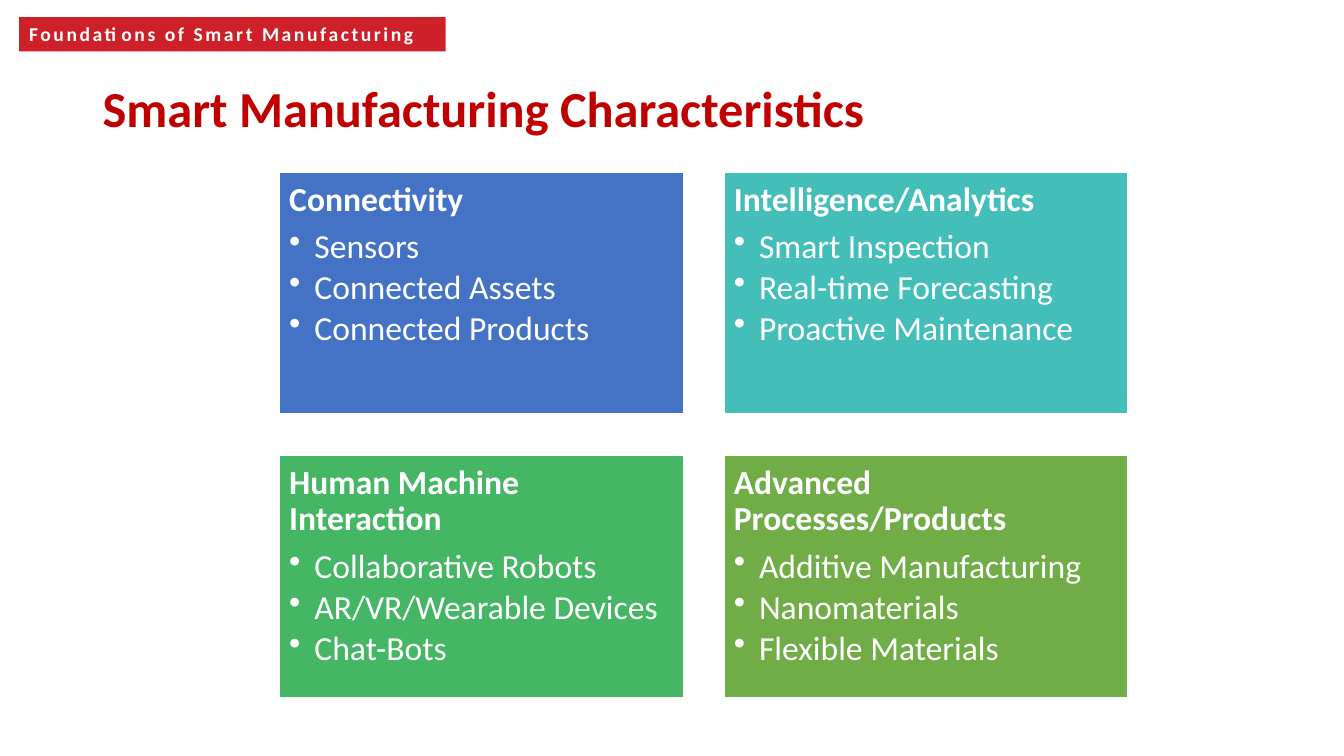
from pptx import Presentation
from pptx.dml.color import RGBColor as RGB
from pptx.enum.shapes import MSO_SHAPE as Shape
from pptx.enum.text import MSO_ANCHOR as Anchor, PP_ALIGN as Align
from pptx.oxml.ns import qn
from pptx.util import Inches, Pt
from lxml.etree import SubElement

COLORS = {
    "tag": "CE2029", "title": "C00000", "white": "FFFFFF",
    "blue": "4472C4", "teal": "43BEB9", "green": "45B664", "olive": "70AD47",
}
CARDS = [
    ("blue", "Connectivity",
     ["Sensors", "Connected Assets", "Connected Products"]),
    ("teal", "Intelligence/Analytics",
     ["Smart Inspection", "Real-time Forecasting", "Proactive Maintenance"]),
    ("green", "Human Machine Interaction",
     ["Collaborative Robots", "AR/VR/Wearable Devices", "Chat-Bots"]),
    ("olive", "Advanced Processes/Products",
     ["Additive Manufacturing", "Nanomaterials", "Flexible Materials"]),
]


def add_box(left, top, width, height, fill):
    box = slide.shapes.add_shape(
        Shape.RECTANGLE, Inches(left), Inches(top), Inches(width), Inches(height))
    box.shadow.inherit = False
    box.fill.solid()
    box.fill.fore_color.rgb = RGB.from_string(COLORS[fill])
    box.line.fill.background()
    box.text_frame.word_wrap = True
    box.text_frame.vertical_anchor = Anchor.TOP
    return box


def write(para, text, size, color, bold):
    para.text = text
    para.alignment = Align.LEFT
    para.font.name = "Calibri"
    para.font.size = Pt(size)
    para.font.bold = bold
    para.font.color.rgb = RGB.from_string(COLORS[color])


deck = Presentation()
deck.slide_width = Inches(13.33)
deck.slide_height = Inches(7.5)
slide = deck.slides.add_slide(deck.slide_layouts[6])

tag = add_box(0.19, 0.17, 4.23, 0.34, "tag")
para = tag.text_frame.paragraphs[0]
write(para, "Foundations of Smart Manufacturing", 14, "white", True)
para.runs[0]._r.get_or_add_rPr().set("spc", "180")

title = slide.shapes.add_textbox(
    Inches(0.92), Inches(0.71), Inches(11.5), Inches(0.79))
title.text_frame.word_wrap = True
title.text_frame.vertical_anchor = Anchor.MIDDLE
para = title.text_frame.paragraphs[0]
write(para, "Smart Manufacturing Characteristics", 36, "title", True)
para.line_spacing = 0.9

for index, (fill, head, items) in enumerate(CARDS):
    row, col = divmod(index, 2)
    card = add_box(2.77 + col * 4.41, 1.71 + row * 2.81, 4.01, 2.4, fill)
    card.line.color.rgb = RGB.from_string(COLORS["white"])
    card.line.width = Pt(1)
    frame = card.text_frame
    frame.margin_left = frame.margin_right = Inches(0.1)
    frame.margin_top = frame.margin_bottom = Inches(0.1)
    para = frame.paragraphs[0]
    write(para, head, 24, "white", True)
    para.line_spacing = 0.9
    para.space_after = Pt(8)
    for item in items:
        para = frame.add_paragraph()
        write(para, item, 24, "white", False)
        para.level = 1
        para.line_spacing = 0.9
        para.space_after = Pt(3.3)
        props = para._p.get_or_add_pPr()
        props.set("marL", str(Inches(0.25)))
        props.set("indent", str(Inches(-0.25)))
        bullet = SubElement(props, qn("a:buChar"))
        bullet.set("char", "•")
        props.find(qn("a:defRPr")).addprevious(bullet)

deck.save("out.pptx")
